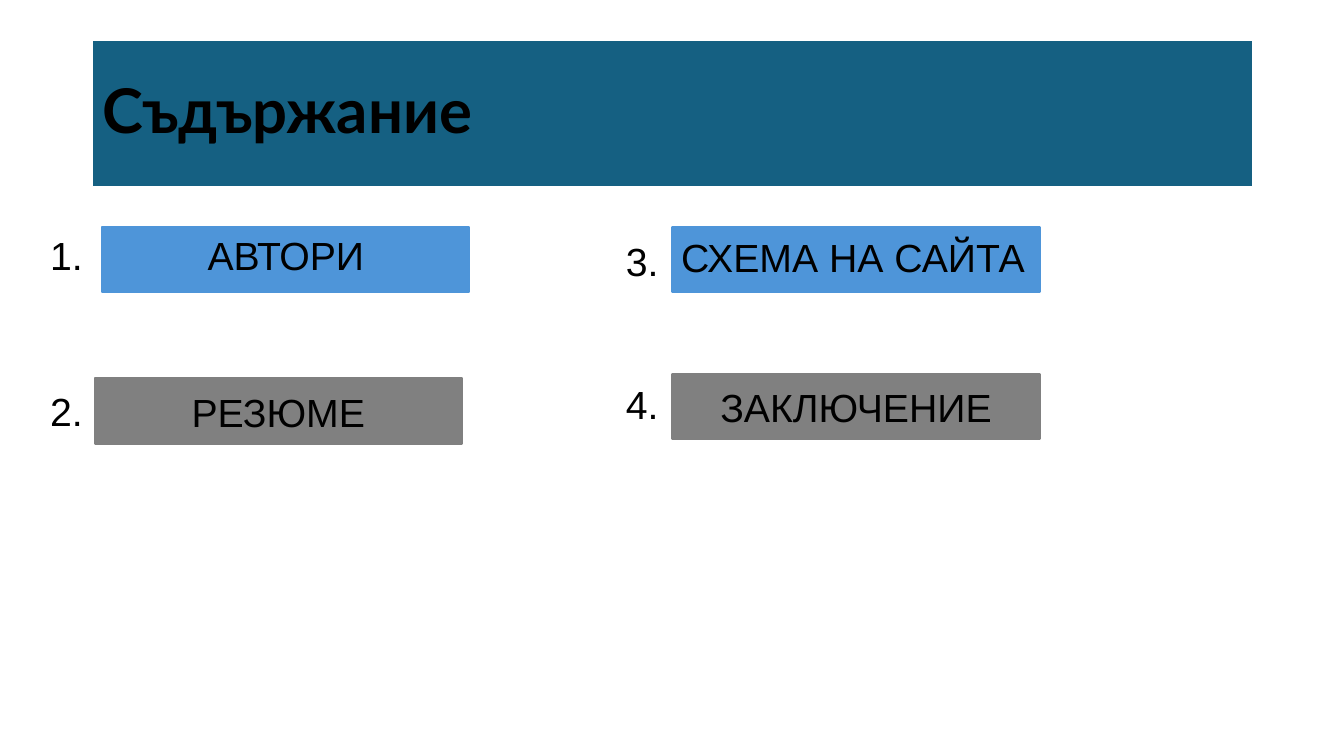
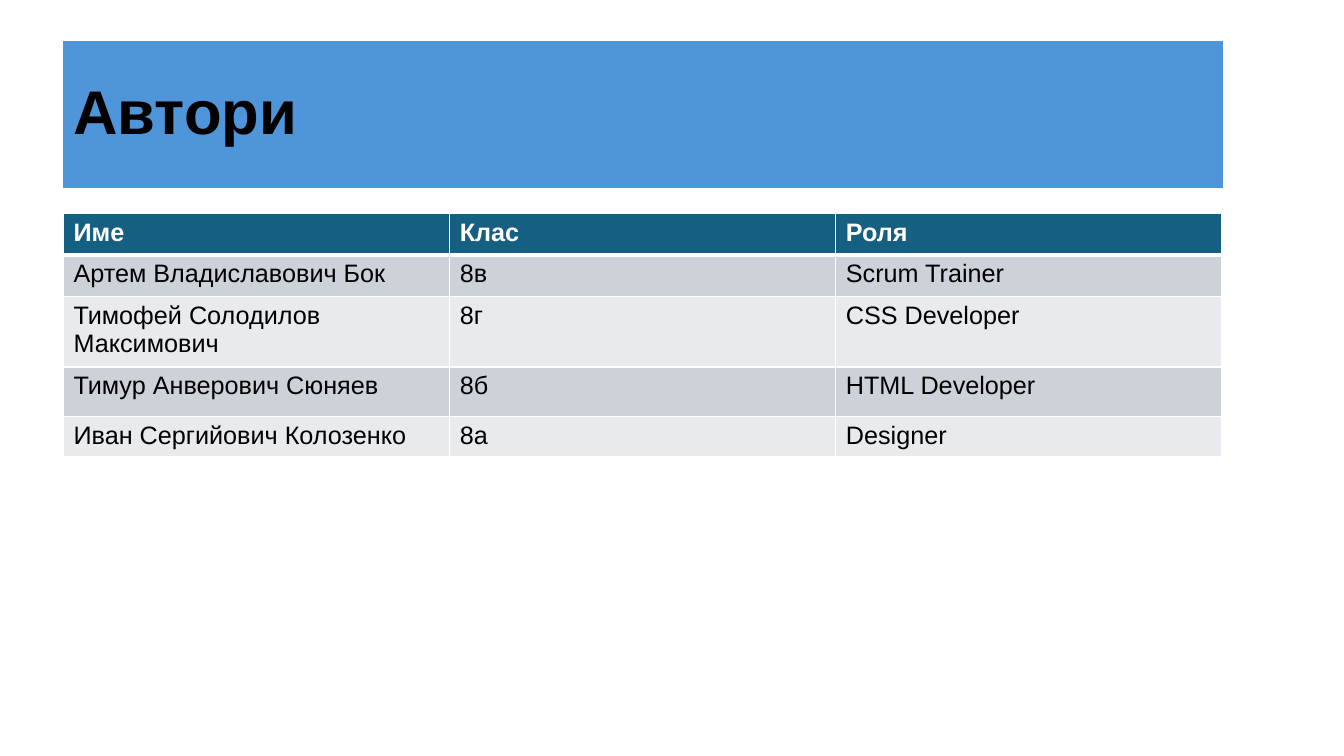
from lxml.etree import SubElement
from pptx import Presentation
from pptx.dml.color import RGBColor
from pptx.enum.shapes import MSO_SHAPE
from pptx.enum.text import MSO_ANCHOR, PP_ALIGN
from pptx.oxml.ns import qn
from pptx.util import Pt

EMU_PER_PX = 9144  # 100 px to the inch

COLORS = {
    "teal": "156082",
    "blue": "4E95D9",
    "gray": "808080",
    "dark_band": "CCD2D8",
    "light_band": "E8EAED",
    "white": "FFFFFF",
    "black": "000000",
}


def px(length):
    return length * EMU_PER_PX


def rgb(name):
    return RGBColor.from_string(COLORS[name])


class Deck:
    def __init__(self, width, height, font="Arial"):
        self.presentation = Presentation()
        self.presentation.slide_width = px(width)
        self.presentation.slide_height = px(height)
        self.font = font
        self.slide = None

    def add_slide(self):
        self.slide = self.presentation.slides.add_slide(self.presentation.slide_layouts[6])

    def set_text(self, frame, text, size, color="black", bold=False,
                 align=PP_ALIGN.LEFT, font=None):
        frame.text = text
        frame.word_wrap = True
        para = frame.paragraphs[0]
        para.alignment = align
        span = para.runs[0]
        span.font.name = font or self.font
        span.font.size = Pt(size)
        span.font.bold = bold
        span.font.color.rgb = rgb(color)
        return para

    def bar(self, left, top, width, height, fill, edge, edge_width):
        box = self.slide.shapes.add_shape(
            MSO_SHAPE.RECTANGLE, px(left), px(top), px(width), px(height))
        box.shadow.inherit = False
        box.fill.solid()
        box.fill.fore_color.rgb = rgb(fill)
        box.line.color.rgb = rgb(edge)
        box.line.width = Pt(edge_width)
        return box

    def title(self, text, left, top, fill, edge, font=None):
        box = self.bar(left, top, 1150, 145, fill, edge, 0.75)
        box.text_frame.vertical_anchor = MSO_ANCHOR.MIDDLE
        para = self.set_text(box.text_frame, text, 44, bold=True, font=font)
        para.line_spacing = 0.9

    def label(self, text, left, top, width, align=PP_ALIGN.LEFT):
        box = self.slide.shapes.add_textbox(px(left), px(top), px(width), px(57))
        self.set_text(box.text_frame, text, 28, align=align)

    def table(self, rows, left, top, column_width, row_heights):
        columns = len(rows[0])
        table = self.slide.shapes.add_table(
            len(rows), columns, px(left), px(top),
            px(column_width * columns), px(sum(row_heights))).table
        table.first_row = table.horz_banding = False
        for column in table.columns:
            column.width = px(column_width)
        for index, (texts, height) in enumerate(zip(rows, row_heights)):
            table.rows[index].height = px(height)
            header = index == 0
            band = "dark_band" if index % 2 else "light_band"
            for column, text in enumerate(texts):
                cell = table.cell(index, column)
                self.borders(cell, top=3 if index == 1 else 1, bottom=3 if header else 1)
                cell.fill.solid()
                cell.fill.fore_color.rgb = rgb("teal" if header else band)
                self.set_text(cell.text_frame, text, 18,
                              color="white" if header else "black", bold=header)

    def borders(self, cell, top, bottom):
        """Draw white cell borders; must run before the cell gets its fill."""
        properties = cell._tc.get_or_add_tcPr()
        for side, width in (("L", 1), ("R", 1), ("T", top), ("B", bottom)):
            line = SubElement(properties, qn(f"a:ln{side}"), w=str(Pt(width)))
            fill = SubElement(line, qn("a:solidFill"))
            SubElement(fill, qn("a:srgbClr"), val=COLORS["white"])

    def save(self):
        self.presentation.save("out.pptx")


def contents_slide(deck):
    deck.add_slide()
    deck.title("Съдържание", 92, 40, "teal", "white", font="Lato")
    # text, colour, (bar left, top), (label left, top, width), (number left, top)
    entries = [
        ("АВТОРИ", "blue", (101, 225), (104, 225, 359), (40, 225)),
        ("РЕЗЮМЕ", "gray", (94, 375), (101, 380, 350), (40, 379)),
        ("СХЕМА НА САЙТА", "blue", (667, 225), (664, 227, 364), (611, 231)),
        ("ЗАКЛЮЧЕНИЕ", "gray", (667, 371), (667, 375, 364), (611, 372)),
    ]
    for number, (text, color, bar, label, number_at) in enumerate(entries, start=1):
        deck.bar(*bar, 364, 65, color, color, 1.5)
        deck.label(text, *label, align=PP_ALIGN.CENTER)
        deck.label(f"{number}.", *number_at, 76)


def authors_slide(deck):
    deck.add_slide()
    deck.title("Автори", 63, 41, "blue", "blue")
    rows = [
        ("Име", "Клас", "Роля"),
        ("Артем Владиславович Бок", "8в", "Scrum Trainer"),
        ("Тимофей Солодилов Максимович", "8г", "CSS Developer"),
        ("Тимур Анверович Сюняев", "8б", "HTML Developer"),
        ("Иван Сергийович Колозенко", "8а", "Designer"),
    ]
    deck.table(rows, 63, 212, 383, [41, 41, 65, 49, 38])


def main():
    deck = Deck(1333, 750)
    contents_slide(deck)
    authors_slide(deck)
    deck.save()


if __name__ == "__main__":
    main()
